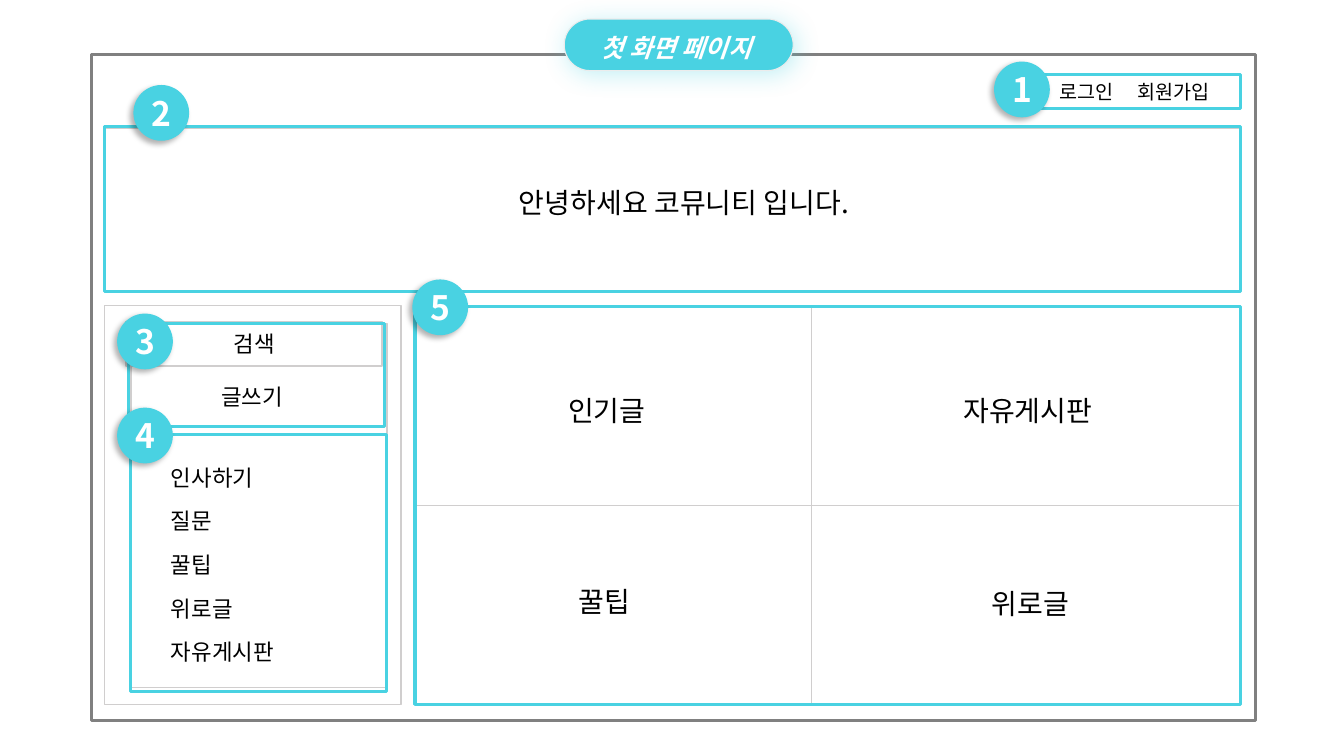
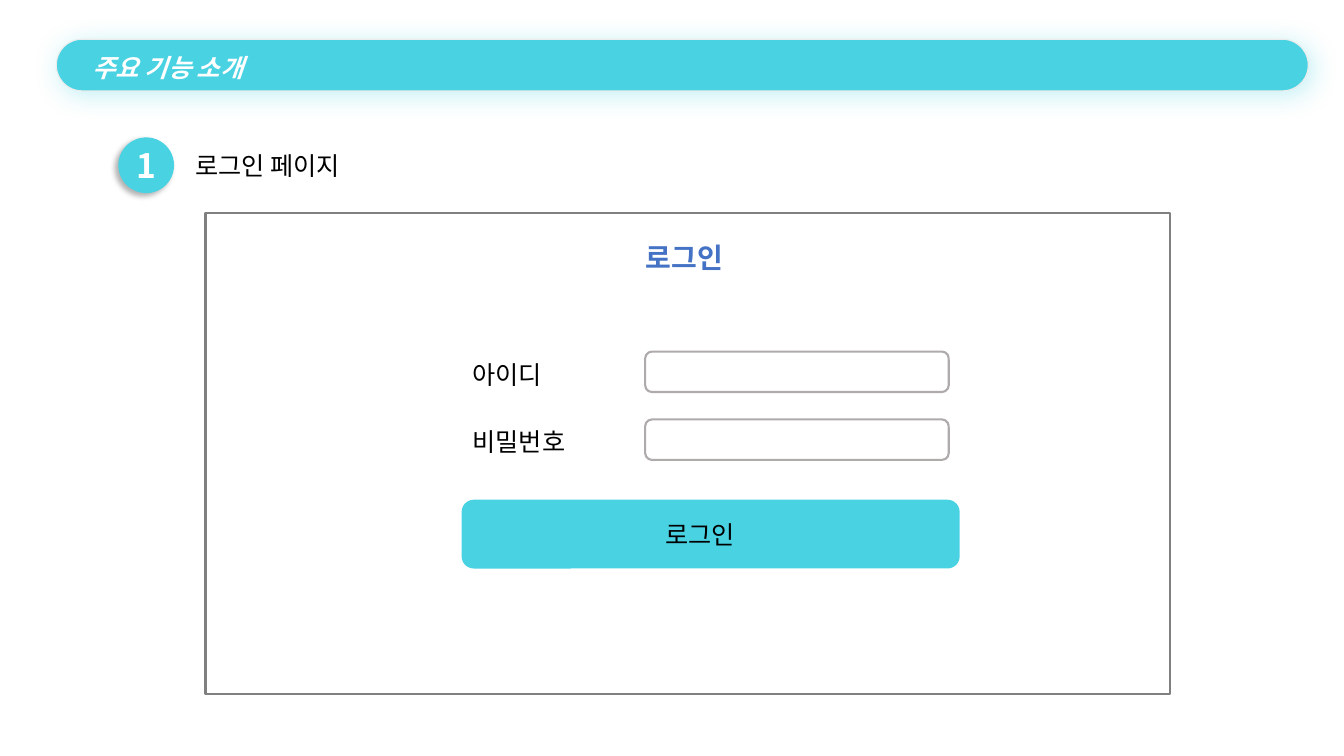
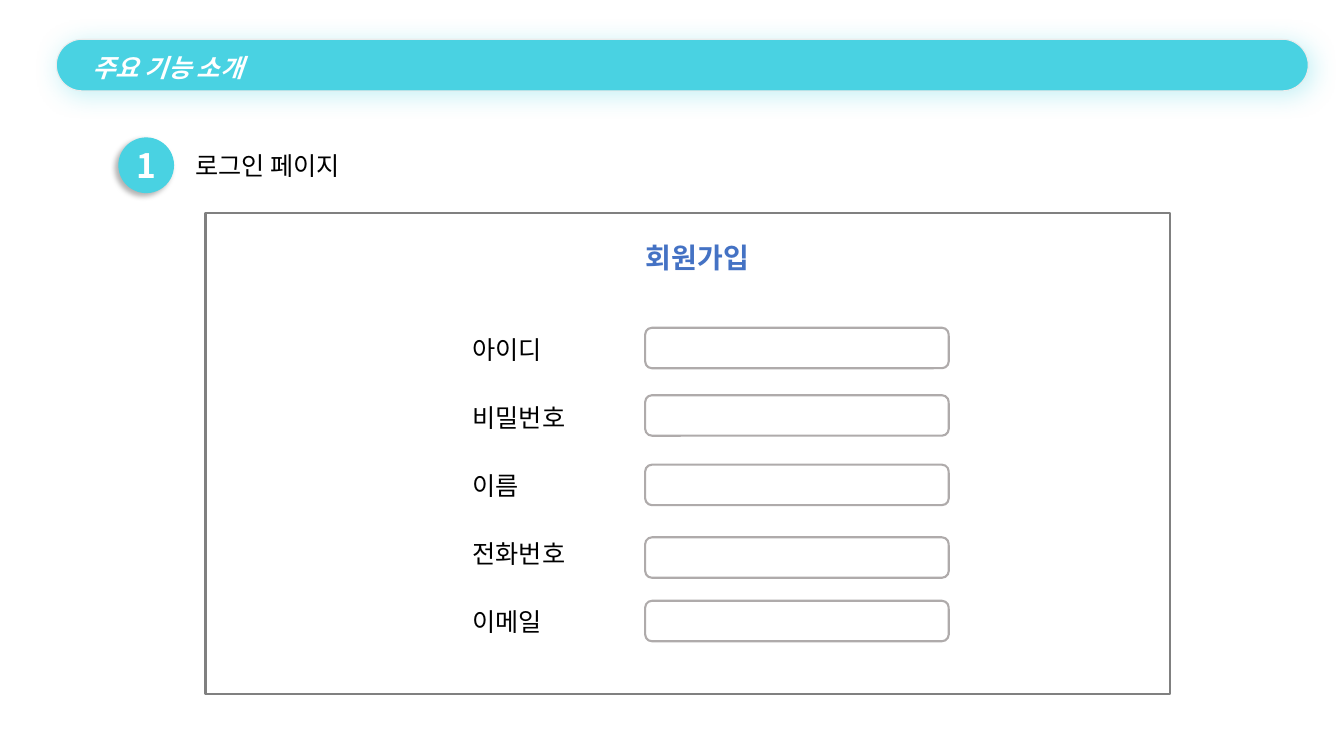
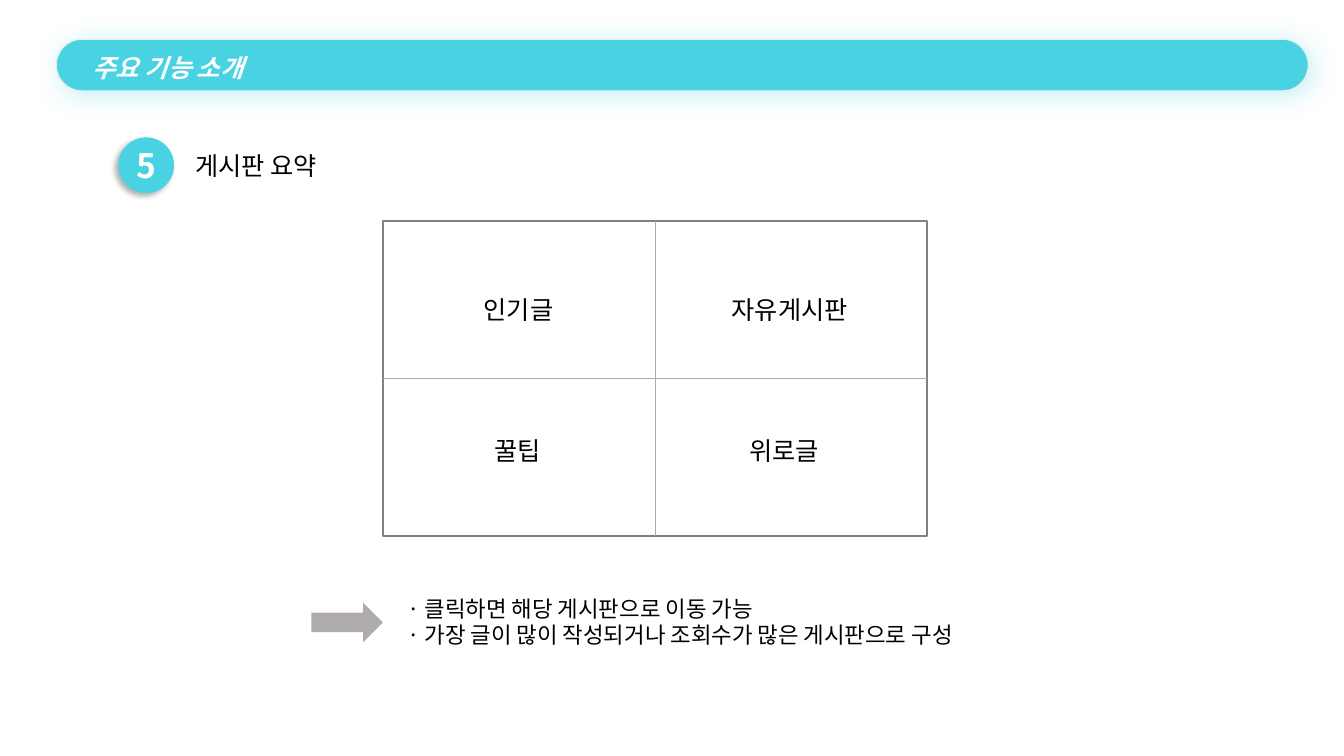
from lxml import etree
from pptx import Presentation
from pptx import util as u
from pptx.dml.color import RGBColor
from pptx.enum import shapes, text
from pptx.oxml.ns import qn

FONT = "Noto Sans CJK KR"
CYAN, BLUE, BLACK, WHITE = "49D2E2", "4472C4", "000000", "FFFFFF"
DARK, GRAY, LIGHT, PALE, RIM = "808080", "AFABAB", "D0CECE", "DBDBDB", "ECECEC"
RECT = shapes.MSO_SHAPE.RECTANGLE
ROUND = shapes.MSO_SHAPE.ROUNDED_RECTANGLE
OVAL = shapes.MSO_SHAPE.OVAL
ARROW = shapes.MSO_SHAPE.RIGHT_ARROW
CENTER = text.PP_ALIGN.CENTER
BOARDS = ("인기글", "자유게시판", "꿀팁", "위로글")
BADGE = 1.37


def rgb(value):
    return RGBColor.from_string(value)


class Wireframe:
    def __init__(self):
        self.deck = Presentation()
        self.deck.slide_width = u.Cm(33.87)
        self.deck.slide_height = u.Cm(19.05)
        self.page = None

    def new_page(self):
        self.page = self.deck.slides.add_slide(self.deck.slide_layouts[6])

    def put_text(self, shape, lines, size, color=BLACK, bold=None, italic=None, align=None, gap=0):
        frame = shape.text_frame
        frame.word_wrap = True
        frame.text = "\n".join(lines)
        for para in frame.paragraphs:
            para.alignment = align
            para.space_after = u.Pt(gap)
            font = para.font
            font.name, font.size = FONT, u.Pt(size)
            font.bold, font.italic = bold, italic
            font.color.rgb = rgb(color)

    def box(self, place, line=None, weight=1, fill=None, kind=RECT):
        shape = self.page.shapes.add_shape(kind, *map(u.Cm, place))
        shape.shadow.inherit = False
        if fill:
            shape.fill.solid()
            shape.fill.fore_color.rgb = rgb(fill)
        else:
            shape.fill.background()
        if line:
            shape.line.color.rgb = rgb(line)
            shape.line.width = u.Pt(weight)
        else:
            shape.line.fill.background()
        return shape

    def cast_shadow(self, shape, color, alpha, blur, angle):
        effects = shape.element.spPr.find(qn("a:effectLst"))
        outer = etree.SubElement(
            effects, qn("a:outerShdw"), blurRad=str(u.Pt(blur)), dist=str(u.Pt(3)),
            dir=str(angle * 60000), algn="ctr", rotWithShape="0")
        tint = etree.SubElement(outer, qn("a:srgbClr"), val=color)
        etree.SubElement(tint, qn("a:alpha"), val=str(alpha * 1000))

    def label(self, left, top, width, words, size=18, **style):
        height = size * 0.04 + 0.3
        box = self.page.shapes.add_textbox(*map(u.Cm, (left, top, width, height)))
        self.put_text(box, words.split("\n"), size, **style)

    def line(self, x1, y1, x2, y2, color=LIGHT, joined=None, sides=()):
        rule = self.page.shapes.add_connector(
            shapes.MSO_CONNECTOR.STRAIGHT, *map(u.Cm, (x1, y1, x2, y2)))
        rule.line.color.rgb = rgb(color)
        rule.line.width = u.Pt(0.5)
        etree.SubElement(rule.element.spPr, qn("a:effectLst"))
        if joined is not None:
            rule.begin_connect(joined, sides[0])
            rule.end_connect(joined, sides[1])

    def badge(self, left, top, number):
        disc = self.box((left, top, BADGE, BADGE), CYAN, 1, CYAN, OVAL)
        self.cast_shadow(disc, BLACK, 29, 4, 135)
        self.put_text(disc, [number], 24, WHITE, bold=True, align=CENTER)

    def title(self, left, top, width, words):
        bar = self.box((left, top, width, 1.3), RIM, 0.75, CYAN, ROUND)
        bar.adjustments[0] = 0.5
        self.cast_shadow(bar, CYAN, 33, 18, 45)
        bar.text_frame.margin_bottom = 0
        self.put_text(bar, [words], 18, WHITE, True, True, text.PP_ALIGN.LEFT)
        bar.text_frame.paragraphs[0]._p.get_or_add_pPr().set("marL", str(u.Cm(0.48)))

    def feature_page(self, number, words):
        self.new_page()
        self.title(1.42, 0.99, 31.55, "주요 기능 소개")
        self.badge(3, 3.48, number)
        self.label(4.67, 3.66, 5.31, words)

    def form_page(self, heading, names, label_top, field_tops):
        self.feature_page("1", "로그인 페이지")
        self.box((5.18, 5.36, 24.31, 12.14), DARK, 1.5)
        self.label(16.03, 5.94, 3.66, heading, 20, color=BLUE, bold=True)
        for row, (name, top) in enumerate(zip(names, field_tops)):
            self.label(11.66, label_top + row * 1.71, 3.66, name)
            self.box((16.26, top, 7.65, 1.02), GRAY, 1.5, kind=ROUND)

    def board_names(self, places, size):
        for place, name in zip(places, BOARDS):
            self.label(*place, name, size)


def first_page(w):
    w.new_page()
    w.box((2.31, 1.37, 29.34, 16.79), DARK, 2.25)
    w.box((2.64, 3.23, 28.63, 4.11), LIGHT)
    w.box((2.64, 7.7, 7.47, 10.06), LIGHT)
    boards = w.box((10.46, 7.7, 20.8, 10.06), LIGHT)
    w.label(26.44, 1.88, 2.01, "로그인", 14)
    w.label(28.42, 1.88, 2.51, "회원가입", 14)
    w.line(10.46, 12.73, 31.26, 12.73, joined=boards, sides=(1, 3))
    w.line(20.45, 7.7, 20.45, 17.76)
    w.board_names([(14.07, 9.8, 2.64), (24.03, 9.8, 4.06),
                   (14.33, 14.6, 1.93), (24.74, 14.66, 2.64)], 20)
    search = w.box((3.18, 8.1, 6.45, 1.12), LIGHT)
    w.put_text(search, ["검색"], 16, align=CENTER)
    w.box((3.3, 8.15, 6.45, 9.17), LIGHT)
    w.label(5.33, 9.53, 3.43, "글쓰기", 16)
    w.line(3.81, 10.92, 9.02, 10.92, PALE)
    w.label(4.06, 11.56, 3.43, "인사하기\n질문\n꿀팁\n위로글\n자유게시판", 16, gap=12)
    w.label(12.83, 4.55, 9.2, "안녕하세요 코뮤니티 입니다.", 20)
    for area in ((26.21, 1.88, 5.05, 0.86), (2.64, 3.18, 28.63, 4.17),
                 (3.25, 8.15, 6.45, 2.59), (3.3, 10.95, 6.45, 6.48),
                 (10.46, 7.72, 20.8, 10.03)):
        w.box(area, CYAN, 2.25)
    spots = ((25.07, 1.57), (3.38, 2.16), (2.97, 7.92), (2.97, 10.29), (10.41, 7.06))
    for number, spot in enumerate(spots, 1):
        w.badge(*spot, str(number))
    w.title(14.22, 0.48, 5.77, "첫 화면 페이지")


def login_page(w):
    w.form_page("로그인", ("아이디", "비밀번호"), 8.92, (8.86, 10.57))
    w.box((11.66, 12.62, 12.5, 1.68), CYAN, 1.5, CYAN, ROUND)
    w.label(16.51, 12.95, 3.38, "로그인")


def join_page(w):
    w.form_page("회원가입", ("아이디", "비밀번호", "이름", "전화번호", "이메일"),
                8.31, (8.26, 9.96, 11.71, 13.54, 15.14))


def boards_page(w):
    w.feature_page("5", "게시판 요약")
    grid = w.box((9.65, 5.56, 13.72, 7.95), DARK, 1.5)
    w.line(16.51, 5.56, 16.51, 13.51, GRAY, grid, (0, 2))
    w.line(9.65, 9.53, 23.37, 9.53, GRAY, grid, (1, 3))
    w.board_names([(11.94, 7.29, 3.38), (18.19, 7.29, 3.78),
                   (12.22, 10.85, 2.36), (18.64, 10.85, 3.78)], 18)
    w.box((7.85, 15.19, 1.8, 0.99), fill=GRAY, kind=ARROW)
    w.label(10.01, 14.86, 14.27,
            "· 클릭하면 해당 게시판으로 이동 가능\n"
            "· 가장 글이 많이 작성되거나 조회수가 많은 게시판으로 구성", 16)


def main():
    w = Wireframe()
    for draw in (first_page, login_page, join_page, boards_page):
        draw(w)
    w.deck.save("out.pptx")


if __name__ == "__main__":
    main()
